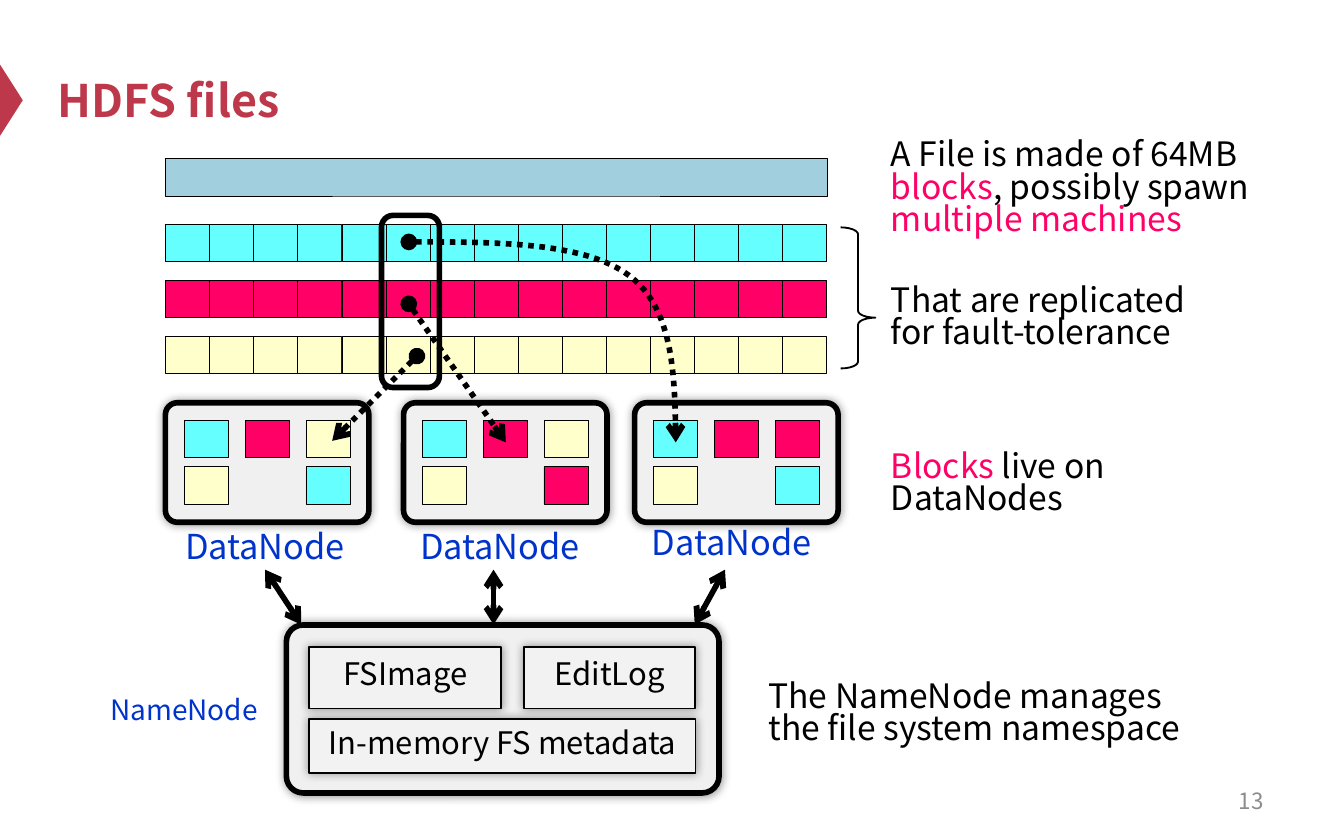
"""Build the slide on HDFS files, their blocks and the nodes that hold them."""
from lxml.etree import SubElement
from pptx import Presentation
from pptx.dml.color import RGBColor as RGB
from pptx.enum.dml import MSO_LINE as Dash
from pptx.enum.shapes import MSO_CONNECTOR as Link, MSO_SHAPE as Kind
from pptx.enum.text import MSO_ANCHOR as Anchor, PP_ALIGN as Align
from pptx.oxml.ns import qn
from pptx.util import Pt

FONT = "Noto Sans CJK SC"
HUES = {
    "black": "000000", "brand": "BE384B", "grey": "8C8C8C", "label": "0033CC",
    "file": "A1CFDE", "cyan": "66FFFF", "pink": "FF0066", "cream": "FFFFCC",
    "node": "F0F0F0", "part": "F2F2F2",
}

deck = Presentation()
deck.slide_width, deck.slide_height = Pt(720), Pt(450)
slide = deck.slides.add_slide(deck.slide_layouts[5])
shapes = slide.shapes


def box(kind, left, top, width, height, fill=None, weight=0.25, adjust=(), shade=False):
    shape = shapes.add_shape(kind, Pt(left), Pt(top), Pt(width), Pt(height))
    shape.shadow.inherit = False
    for index, value in enumerate(adjust):
        shape.adjustments[index] = value
    if fill:
        shape.fill.solid()
        shape.fill.fore_color.rgb = RGB.from_string(HUES[fill])
    else:
        shape.fill.background()
    if weight:
        shape.line.width = Pt(weight)
        shape.line.color.rgb = RGB.from_string(HUES["black"])
    else:
        shape.line.fill.background()
    if shade:
        effects = shape._element.spPr.find(qn("a:effectLst"))
        glow = SubElement(effects, qn("a:outerShdw"), blurRad=str(Pt(5)), dist="0", dir="0")
        tint = SubElement(glow, qn("a:srgbClr"), val=HUES["black"])
        SubElement(tint, qn("a:alpha"), val="40000")
    return shape


def write(shape, size, runs, align=Align.LEFT, spacing=None, bold=False):
    para = shape.text_frame.paragraphs[0]
    para.alignment = align
    para.line_spacing = spacing
    for text, hue in runs:
        if text == "\n":
            para.add_line_break()
            continue
        run = para.add_run()
        run.text = text
        run.font.name, run.font.size, run.font.bold = FONT, Pt(size), bold
        run.font.color.rgb = RGB.from_string(HUES[hue])


marker = box(Kind.ISOSCELES_TRIANGLE, -13, 47.6, 38.2, 12.2, "brand", 0)
marker.rotation = 90
title = shapes.title
title.left, title.top, title.width, title.height = Pt(23.8), Pt(18), Pt(648), Pt(70.6)
title.text_frame.vertical_anchor = Anchor.MIDDLE
write(title, 24, [("HDFS files", "brand")], bold=True)

box(Kind.RECTANGLE, 88.6, 84.8, 354.4, 20.2, "file")
for row, hue in enumerate(("cyan", "pink", "cream")):
    for col in range(15):
        box(Kind.RECTANGLE, 88.6 + 23.62 * col, 120.2 + 29.95 * row, 23.62, 20, hue)

box(Kind.ROUNDED_RECTANGLE, 153.4, 334.8, 231.8, 90, "node", 3, [0.1], True)
for text, left, top, width, height, spacing in (
    ("FSImage", 165.6, 346.4, 103, 33.2, 0.7),
    ("EditLog", 280.8, 346.4, 91.6, 33.2, 0.7),
    ("In-memory FS metadata", 165.6, 385.2, 207, 28.8, 0.8),
):
    part = box(Kind.ROUNDED_RECTANGLE, left, top, width, height, "part", 1, [0], True)
    frame = part.text_frame
    frame.margin_left = frame.margin_right = frame.margin_top = frame.margin_bottom = 0
    frame.word_wrap = False
    frame.vertical_anchor = Anchor.MIDDLE
    write(part, 16.6, [(text, "black")], Align.CENTER, spacing)

spots = ((0, 0), (1, 0), (2, 0), (2, 1), (0, 1))
for left, hues in (
    (88.6, ("cyan", "pink", "cream", "cyan", "cream")),
    (216.2, ("cyan", "pink", "cream", "pink", "cream")),
    (340, ("cyan", "pink", "pink", "cyan", "cream")),
):
    box(Kind.ROUNDED_RECTANGLE, left, 215.8, 109, 64, "node", 3, [0.1], True)
    for (col, row), hue in zip(spots, hues):
        box(Kind.RECTANGLE, left + 10.2 + 32.5 * col, 225.2 + 24.8 * row, 23.6, 20, hue)

bends = (
    ((219, 129.6), (266, 129.6), (313, 129.6), (337, 147.6)),
    ((337, 147.6), (361, 165.6), (361.6, 201.2), (362, 237)),
)
curve = [bends[0][0]]
for bend in bends:
    for step in range(1, 25):
        t = step / 24
        weights = ((1 - t) ** 3, 3 * t * (1 - t) ** 2, 3 * t * t * (1 - t), t ** 3)
        curve.append(tuple(sum(w * p[axis] for w, p in zip(weights, bend)) for axis in (0, 1)))

arrows = []
for points in ([(223.4, 190.8), (178, 236.2)], [(219, 162.8), (271, 237)], curve):
    start, *rest = [(Pt(x), Pt(y)) for x, y in points]
    maker = shapes.build_freeform(*start)
    maker.add_line_segments(rest, close=False)
    route = maker.convert_to_shape()
    route.fill.background()
    route.line.dash_style = Dash.ROUND_DOT
    arrows.append((route, "oval"))
for x1, x2 in ((142, 161.4), (388.4, 372.2), (264.4, 264.4)):
    link = shapes.add_connector(Link.STRAIGHT, Pt(x1), Pt(305.2), Pt(x2), Pt(334.6))
    arrows.append((link, "arrow"))
for arrow, head in arrows:
    arrow.line.width = Pt(3)
    arrow.line.color.rgb = RGB.from_string(HUES["black"])
    props = arrow._element.spPr
    stroke = props.find(qn("a:ln"))
    SubElement(stroke, qn("a:headEnd"), type=head)
    SubElement(stroke, qn("a:tailEnd"), type="arrow")
    SubElement(props, qn("a:effectLst"))

box(Kind.ROUNDED_RECTANGLE, 204.4, 115.4, 31, 92.2, None, 3, [0.2])
box(Kind.RIGHT_BRACE, 450.4, 121.8, 18.6, 75.6, None, 1, [0.2, 0.64])

for left, top, width, height, size, align, runs in (
    (80, 282.2, 124, 25.2, 18.4, Align.CENTER, [("DataNode", "label")]),
    (205.8, 282.2, 124, 25.2, 18.4, Align.CENTER, [("DataNode", "label")]),
    (330, 280, 124, 25.2, 18.4, Align.CENTER, [("DataNode", "label")]),
    (48.2, 370.8, 100.8, 22.4, 15, Align.CENTER, [("NameNode", "label")]),
    (470.2, 72, 229.8, 59.8, 18, Align.LEFT,
     [("A File is made of 64MB ", "black"), ("blocks", "pink"),
      (", possibly spawn ", "black"), ("multiple machines", "pink")]),
    (470.2, 149.8, 183.6, 42.4, 18, Align.LEFT,
     [("That are replicated for fault-tolerance", "black")]),
    (470.2, 239, 183.6, 42.4, 18, Align.LEFT,
     [("Blocks", "pink"), (" live on DataNodes", "black")]),
    (404.6, 362.2, 243.4, 42.4, 18, Align.LEFT,
     [("The NameNode manages", "black"), ("\n", "black"),
      ("the file system namespace", "black")]),
):
    note = shapes.add_textbox(Pt(left), Pt(top), Pt(width), Pt(height))
    note.text_frame.word_wrap = True
    write(note, size, runs, align, 0.8)

number = shapes.add_textbox(Pt(516.2), Pt(416.9), Pt(167.8), Pt(23.8))
number.text_frame.word_wrap = True
number.text_frame.vertical_anchor = Anchor.MIDDLE
write(number, 12, [("13", "grey")], Align.RIGHT)

deck.save("out.pptx")
